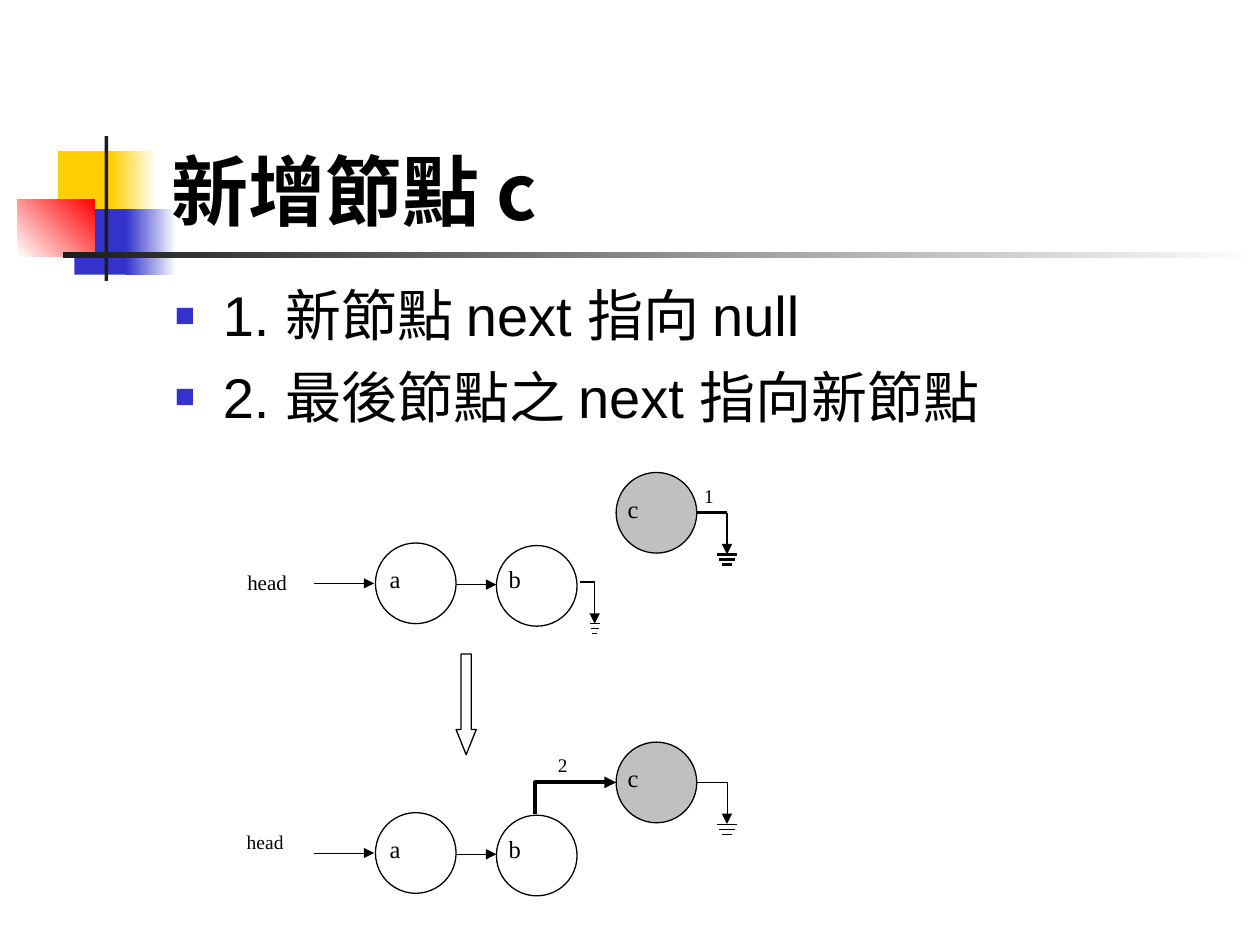
from lxml import etree
from pptx import Presentation
from pptx.dml.color import RGBColor
from pptx.enum.shapes import MSO_CONNECTOR as CONNECTOR, MSO_SHAPE as SHAPE
from pptx.enum.text import MSO_ANCHOR as ANCHOR, PP_ALIGN as ALIGN
from pptx.oxml.ns import qn
from pptx.util import Inches, Pt

COLORS = {
    "black": "000000", "white": "FFFFFF", "gray": "C0C0C0", "yellow": "FFCF01",
    "blue": "3333CC", "red": "FF0000", "dark": "1C1C1C",
}
TITLE_FONT, BODY_FONT, LABEL_FONT = "Noto Sans CJK SC", "Arial", "Times New Roman"
NODE_SIZE = 0.64
CHAIN_STEP = 2.14


def rgb(name):
    return RGBColor.from_string(COLORS[name])


def inches(*values):
    return [Inches(value) for value in values]


class SlideBuilder:
    """Draws styled elements on the current slide; lengths are in inches."""

    def __init__(self, slide):
        self.slide = slide

    def shape(self, kind, box, fill, outline=None):
        shape = self.slide.shapes.add_shape(kind, *inches(*box))
        shape.shadow.inherit = False
        shape.fill.solid()
        shape.fill.fore_color.rgb = rgb(fill)
        if outline:
            shape.line.color.rgb = rgb("black")
            shape.line.width = Pt(outline)
        else:
            shape.line.fill.background()
        return shape

    def fade(self, box, start, end, angle=0):
        """Rectangle with a two-colour gradient, angle counter-clockwise."""
        shape = self.shape(SHAPE.RECTANGLE, box, start)
        shape.fill.gradient()
        shape.fill.gradient_angle = angle
        for stop, color, position in zip(shape.fill.gradient_stops, (start, end), (0, 1)):
            stop.color.rgb = rgb(color)
            stop.position = position

    def text(self, box, lines, size, font=LABEL_FONT, bold=False,
             align=ALIGN.LEFT, anchor=ANCHOR.TOP):
        frame = self.slide.shapes.add_textbox(*inches(*box)).text_frame
        frame.word_wrap = True
        frame.vertical_anchor = anchor
        frame.text = lines
        for paragraph in frame.paragraphs:
            paragraph.alignment = align
            for run in paragraph.runs:
                run.font.size = Pt(size)
                run.font.name = font
                run.font.bold = bold
                run.font.color.rgb = rgb("black")
                east_asian = etree.SubElement(run.font._element, qn("a:ea"))
                east_asian.set("typeface", TITLE_FONT)
        return frame

    def bullets(self, box, lines, size):
        frame = self.text(box, "\n".join(lines), size, BODY_FONT)
        for index, paragraph in enumerate(frame.paragraphs):
            properties = paragraph._p.get_or_add_pPr()
            properties.set("marL", str(Inches(0.38)))
            properties.set("indent", str(-Inches(0.38)))
            color = etree.SubElement(properties, qn("a:buClr"))
            etree.SubElement(color, qn("a:srgbClr")).set("val", COLORS["blue"])
            etree.SubElement(properties, qn("a:buSzPct")).set("val", "60000")
            etree.SubElement(properties, qn("a:buFont")).set("typeface", BODY_FONT)
            etree.SubElement(properties, qn("a:buChar")).set("char", "■")
            if index:
                paragraph.space_before = Pt(8)

    def line(self, start, end, width=0.75, arrow=False, kind=CONNECTOR.STRAIGHT):
        line = self.slide.shapes.add_connector(kind, *inches(*start, *end))
        line.line.color.rgb = rgb("black")
        line.line.width = Pt(width)
        if arrow:
            tail = etree.SubElement(line.line._get_or_add_ln(), qn("a:tailEnd"))
            tail.set("type", "triangle")
        etree.SubElement(line._element.spPr, qn("a:effectLst"))
        return line

    def corner_arrow(self, start, end, width):
        """One-bend arrow that leaves upwards and arrives from the left."""
        center_x, center_y = (start[0] + end[0]) / 2, (start[1] + end[1]) / 2
        half_run, half_rise = (end[0] - start[0]) / 2, (start[1] - end[1]) / 2
        arrow = self.line((center_x + half_rise, center_y + half_run),
                          (center_x - half_rise, center_y - half_run),
                          width, True, CONNECTOR.ELBOW)
        properties = arrow._element.spPr
        properties.find(qn("a:xfrm")).set("rot", "5400000")
        properties.find(qn("a:prstGeom")).set("prst", "bentConnector2")

    def node(self, name, left, top, label_left, label_top, fill="white"):
        self.shape(SHAPE.OVAL, (left, top, NODE_SIZE, NODE_SIZE), fill, 0.75)
        self.text((label_left, label_top, 0.37, 0.42), name, 14, align=ALIGN.CENTER)

    def null_pointer(self, left, x, y, half_width, width):
        """Link that turns down into a three-bar ground symbol."""
        ground = y + 0.33
        self.line((left, y), (x, y), width)
        self.line((x, y), (x, ground), width, arrow=True)
        for index, share in enumerate((1, 0.75, 0.5)):
            bar_y = ground + 0.04 * index
            reach = half_width * share
            self.line((x - reach, bar_y), (x + reach, bar_y), width)

    def chain(self, shift, null_width):
        """Nodes a, b and c, with the arrows that both stages share."""
        self.node("b", 3.94, 4.33 + shift, 3.9, 4.43 + shift)
        self.node("a", 2.98, 4.31 + shift, 2.95, 4.43 + shift)
        self.node("c", 4.89, 3.75 + shift, 4.84, 3.87 + shift, "gray")
        self.line((2.49, 4.63 + shift), (2.97, 4.63 + shift), 0.5, arrow=True)
        self.line((3.62, 4.64 + shift), (3.94, 4.64 + shift), arrow=True)
        self.null_pointer(5.53, 5.77, 4.07 + shift, 0.08, null_width)


def draw_theme(builder):
    builder.shape(SHAPE.RECTANGLE, (0.46, 1.2, 0.48, 0.52), "yellow")
    builder.fade((0.88, 1.2, 0.36, 0.52), "yellow", "white")
    builder.shape(SHAPE.RECTANGLE, (0.59, 1.66, 0.46, 0.52), "blue")
    builder.fade((1, 1.66, 0.4, 0.52), "blue", "white")
    builder.fade((0.14, 1.58, 0.61, 0.46), "white", "red", 45)
    builder.shape(SHAPE.RECTANGLE, (0.83, 1.08, 0.03, 1.15), "dark")
    builder.fade((0.5, 2, 9.5, 0.05), "dark", "white")


def draw_linked_lists(builder):
    builder.chain(0, null_width=1.5)
    builder.text((1.69, 4.47, 0.86, 0.48), "head", 12, align=ALIGN.CENTER)
    builder.text((5.49, 3.79, 0.32, 0.32), "1", 11)
    builder.null_pointer(4.6, 4.72, 4.62, 0.04, 0.75)

    stage_arrow = builder.shape(SHAPE.DOWN_ARROW, (3.62, 5.19, 0.16, 0.8), "white", 0.75)
    stage_arrow.adjustments[1] = 1.25

    builder.chain(CHAIN_STEP, null_width=0.5)
    head = builder.text((1.86, 6.56, 0.69, 0.48), "head", 11.1)
    head.paragraphs[0].line_spacing = 0.9
    builder.text((4.33, 5.93, 0.32, 0.32), "2", 11)
    builder.corner_arrow((4.25, 6.46), (4.89, 6.21), 2.25)


def main():
    presentation = Presentation()
    presentation.slide_width, presentation.slide_height = inches(10, 7.5)
    slide = presentation.slides.add_slide(presentation.slide_layouts[6])
    builder = SlideBuilder(slide)
    draw_theme(builder)
    builder.text((1.26, 0.67, 8.52, 1.25), "新增節點 c", 44, TITLE_FONT,
                 bold=True, anchor=ANCHOR.BOTTOM)
    builder.bullets((1.29, 2.18, 8.5, 1.81),
                    ["1. 新節點 next 指向 null", "2. 最後節點之 next 指向新節點"], 32)
    draw_linked_lists(builder)
    presentation.save("out.pptx")


if __name__ == "__main__":
    main()
